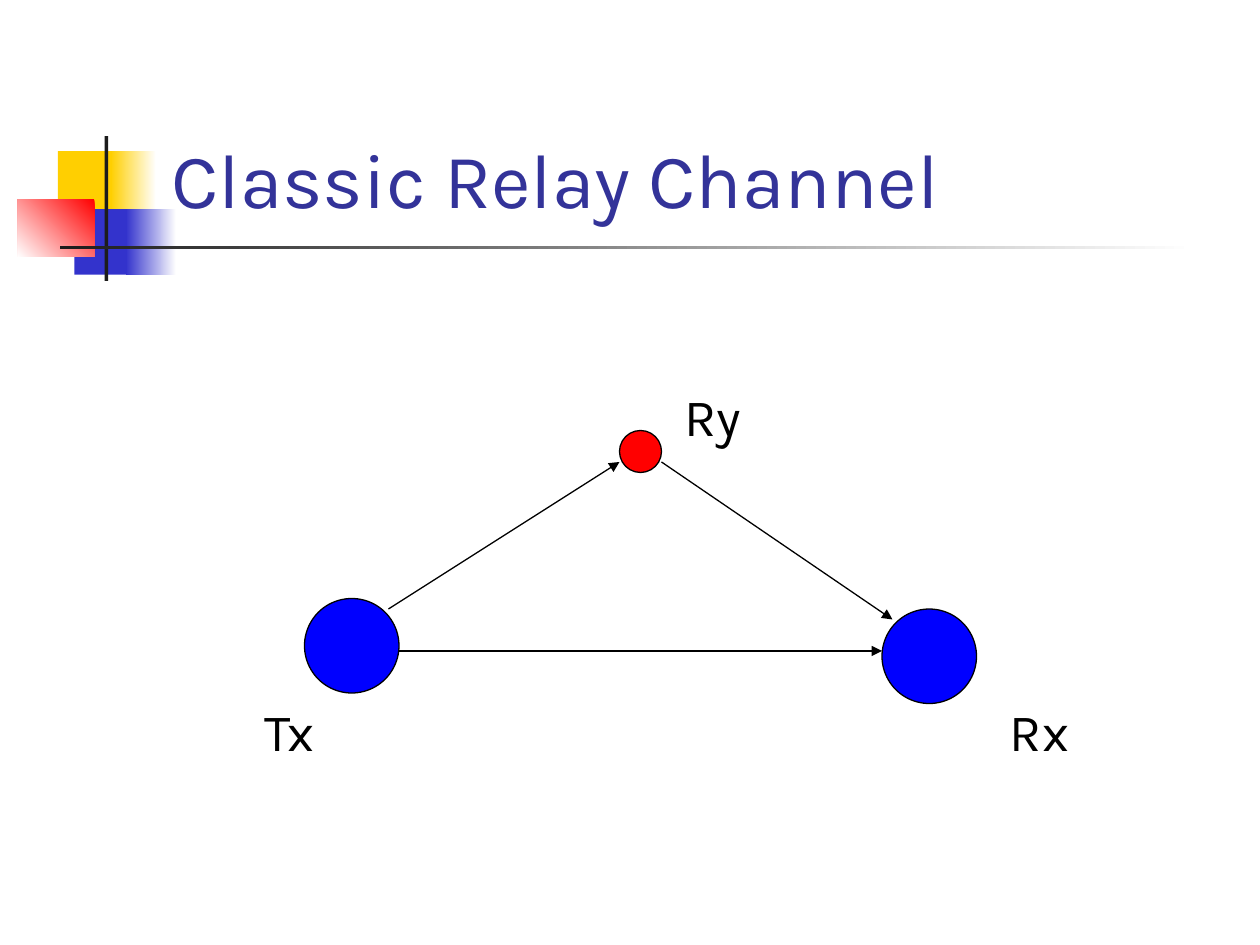
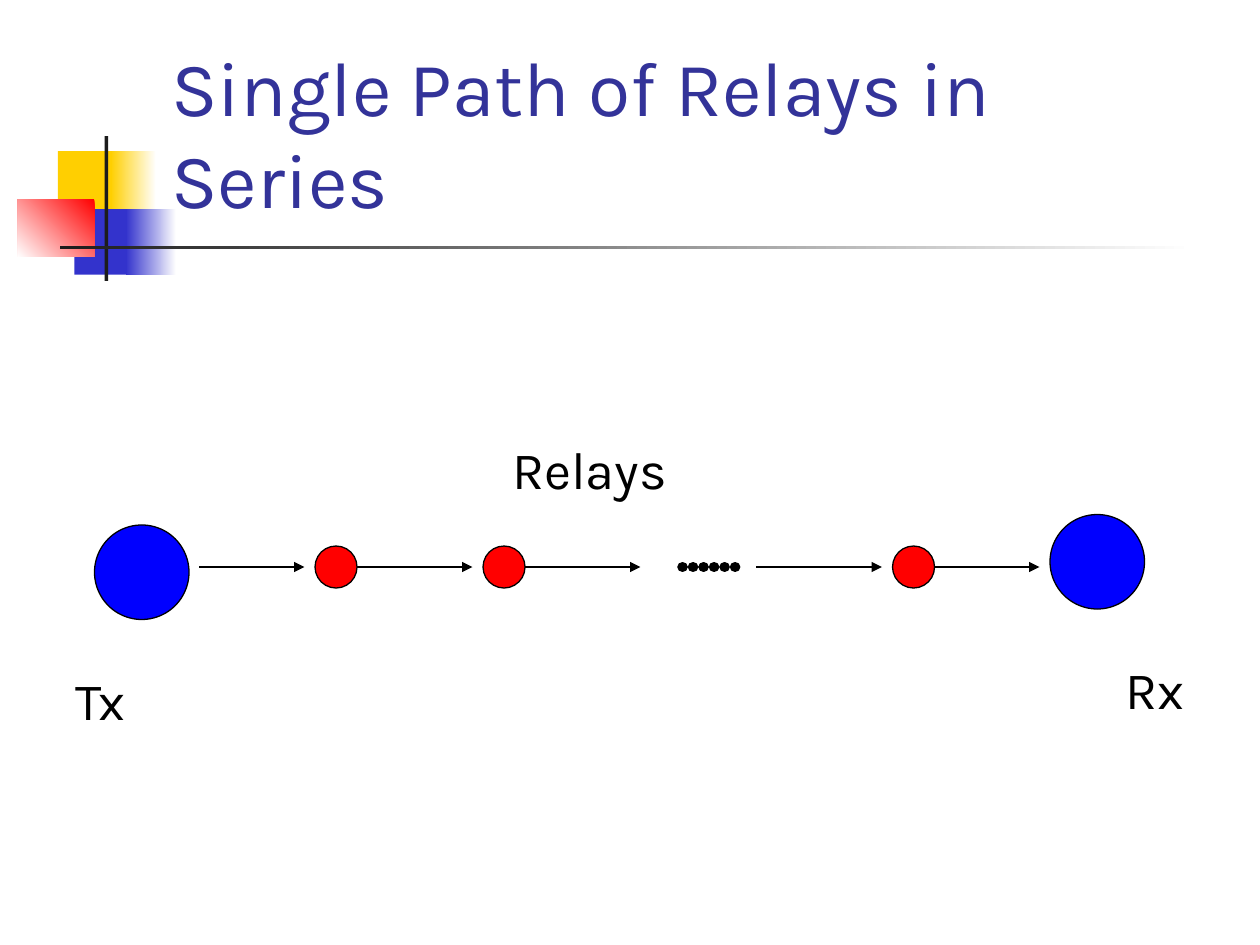
"""Two slides on relay channels: a three-node relay and a chain of relays."""
from lxml import etree
from pptx import Presentation
from pptx import util as u
from pptx.dml.color import RGBColor
from pptx.enum import shapes, text
from pptx.oxml.ns import qn

FONT = "Karla"
CELLS_PER_INCH = 12
COLOURS = {"title": "333399", "ink": "000000", "node": "0000FF", "relay": "FF0000",
           "white": "FFFFFF", "yellow": "FFCF01", "indigo": "3333CC", "bar": "1C1C1C"}
DIAMETERS = {"node": 9, "relay": 4}

# Inches, first colour, second colour of a fade, angle of the fade
BANDS = [
    ((0.46, 1.2, 0.48, 0.52), "yellow", None, 0),
    ((0.88, 1.2, 0.36, 0.52), "white", "yellow", 180),
    ((0.59, 1.66, 0.46, 0.52), "indigo", None, 0),
    ((1, 1.66, 0.4, 0.52), "white", "indigo", 180),
    ((0.14, 1.58, 0.61, 0.46), "relay", "white", 225),
    ((0.83, 1.08, 0.03, 1.15), "bar", None, 0),
    ((0.48, 1.95, 9, 0.03), "white", "bar", 180),
]
TITLE_AREA = (1.26, 0.23, 8.52, 1.6)

# Grid cells: circles by left and top, lines by both ends, labels by left, top and width
CHAIN_ROW = 54
SLIDES = [
    {"title": "Classic Relay Channel",
     "circles": [("node", 29, 57), ("node", 84, 58), ("relay", 59, 41)],
     "arrows": [(38, 62, 84, 62), (63, 44, 85, 59), (37, 58, 59, 44)],
     "dots": [],
     "labels": [("Tx", 24, 66, 9), ("Rx", 95, 66, 9), ("Ry", 64, 36, 13)]},
    {"title": "Single Path of Relays in Series",
     "circles": [("node", 9, 50), ("node", 100, 49)]
     + [("relay", left, CHAIN_ROW - 2) for left in (30, 46, 85)],
     "arrows": [(start, CHAIN_ROW, end, CHAIN_ROW) for start, end in
                ((19, 29), (34, 45), (50, 61), (72, 84), (89, 99))],
     "dots": [(65, CHAIN_ROW, 71, CHAIN_ROW)],
     "labels": [("Tx", 6, 63, 9), ("Rx", 106, 62, 9), ("Relays", 47.6, 41, 17.4)]},
]


def colour(name):
    return RGBColor.from_string(COLOURS[name])


def inches(values):
    return [u.Inches(value) for value in values]


def cells(*values):
    return inches(value / CELLS_PER_INCH for value in values)


def style_text(paragraph, size, ink):
    paragraph.alignment = text.PP_ALIGN.LEFT
    paragraph.font.name = FONT
    paragraph.font.size = u.Pt(size)
    paragraph.font.color.rgb = colour(ink)


def add_bands(slide, master):
    for area, first, second, angle in BANDS:
        band = slide.shapes.add_shape(shapes.MSO_SHAPE.RECTANGLE, *inches(area))
        band.shadow.inherit = False
        band.line.fill.background()
        if second:
            band.fill.gradient()
            band.fill.gradient_angle = angle
            for stop, name in zip(band.fill.gradient_stops, (first, second)):
                stop.color.rgb = colour(name)
        else:
            band.fill.solid()
            band.fill.fore_color.rgb = colour(first)
        master.shapes.element.append(band.element)


def place_title(holder):
    holder.left, holder.top, holder.width, holder.height = inches(TITLE_AREA)
    holder.text_frame.vertical_anchor = text.MSO_ANCHOR.BOTTOM
    holder.text_frame.auto_size = text.MSO_AUTO_SIZE.NONE


def add_circle(slide, kind, left, top):
    size = DIAMETERS[kind]
    circle = slide.shapes.add_shape(shapes.MSO_SHAPE.OVAL, *cells(left, top, size, size))
    circle.shadow.inherit = False
    circle.fill.solid()
    circle.fill.fore_color.rgb = colour(kind)
    circle.line.color.rgb = colour("ink")
    circle.line.width = u.Pt(0.75)


def add_line(slide, ends, dotted=False):
    line = slide.shapes.add_connector(shapes.MSO_CONNECTOR.STRAIGHT, *cells(*ends))
    line.line.color.rgb = colour("ink")
    line.line.width = u.Pt(6 if dotted else 0.75)
    properties = line.element.spPr
    stroke = properties.find(qn("a:ln"))
    if dotted:
        stroke.set("cap", "rnd")
        dashes = etree.SubElement(stroke, qn("a:custDash"))
        etree.SubElement(dashes, qn("a:ds"), d="1000", sp="99000")
    else:
        etree.SubElement(stroke, qn("a:tailEnd"), type="triangle")
    etree.SubElement(properties, qn("a:effectLst"))


def add_label(slide, wording, left, top, width):
    box = slide.shapes.add_textbox(*cells(left, top, width, 7.2))
    box.text_frame.word_wrap = wording != "Relays"
    box.text_frame.auto_size = text.MSO_AUTO_SIZE.SHAPE_TO_FIT_TEXT
    para = box.text_frame.paragraphs[0]
    para.text = wording
    style_text(para, 30, "ink")


def fill_slide(slide, content):
    slide.shapes.title.text = content["title"]
    style_text(slide.shapes.title.text_frame.paragraphs[0], 44, "title")
    for circle in content["circles"]:
        add_circle(slide, *circle)
    for ends in content["arrows"]:
        add_line(slide, ends)
    for ends in content["dots"]:
        add_line(slide, ends, dotted=True)
    for label in content["labels"]:
        add_label(slide, *label)


def main():
    deck = Presentation()
    deck.slide_width, deck.slide_height = inches((10, 7.5))
    layout = deck.slide_layouts.get_by_name("Title Only")
    place_title(layout.placeholders[0])
    pages = [deck.slides.add_slide(layout) for _ in SLIDES]
    add_bands(pages[0], deck.slide_master)
    for page, content in zip(pages, SLIDES):
        fill_slide(page, content)
    deck.save("out.pptx")


if __name__ == "__main__":
    main()
